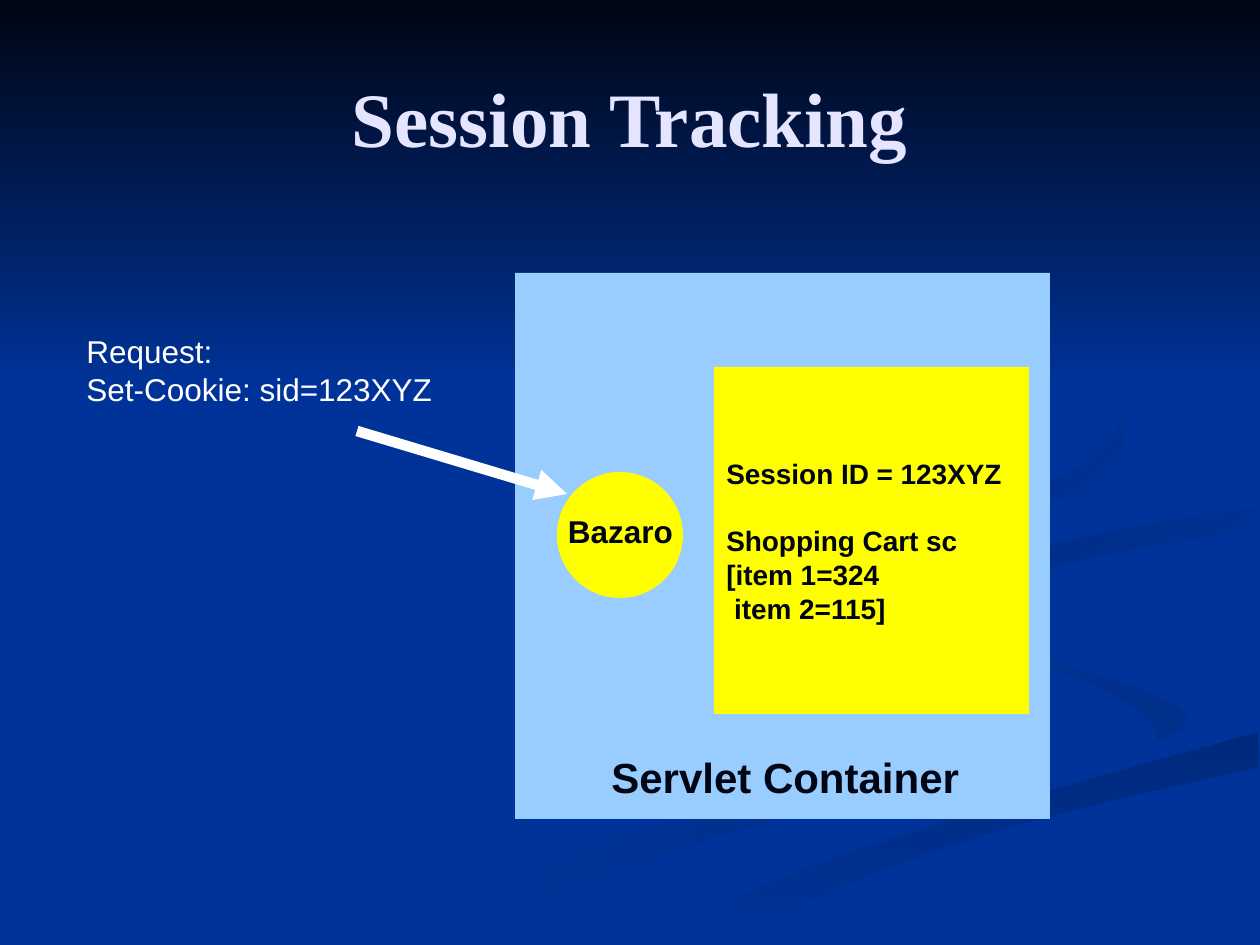
from lxml import etree
from pptx import Presentation
from pptx.dml.color import RGBColor
from pptx.enum.shapes import MSO_CONNECTOR, MSO_SHAPE
from pptx.enum.text import MSO_ANCHOR, PP_ALIGN
from pptx.oxml.ns import qn
from pptx.util import Pt

RECTANGLE, OVAL = MSO_SHAPE.RECTANGLE, MSO_SHAPE.OVAL
STRAIGHT = MSO_CONNECTOR.STRAIGHT
LEFT, CENTER = PP_ALIGN.LEFT, PP_ALIGN.CENTER
TOP, MIDDLE = MSO_ANCHOR.TOP, MSO_ANCHOR.MIDDLE

PX_PER_INCH = 126
WIDTH, HEIGHT = 1260, 945
CURVE_STEPS = 6
NAVY, INK, YELLOW, WHITE = "003399", "000514", "FFFF00", "FFFFFF"
SKY, LAVENDER = "99CCFF", "E5E5FF"
DOWNWARD, LEFTWARD, UP_LEFT = 270, 180, 135


def px(length):
    return round(length * 914400 / PX_PER_INCH)


def color(value):
    return RGBColor.from_string(value)


def spline(before, start, end, after, t):
    return (2 * start + (end - before) * t
            + (2 * before - 5 * start + 4 * end - after) * t ** 2
            + (3 * start - before - 3 * end + after) * t ** 3) / 2


def smooth(knots):
    padded = [knots[0], *knots, knots[-1]]
    curve = [knots[0]]
    for span in zip(padded, padded[1:], padded[2:], padded[3:]):
        for step in range(1, CURVE_STEPS + 1):
            curve.append(tuple(spline(*axis, step / CURVE_STEPS)
                               for axis in zip(*span)))
    return curve


def paint(shape, colors, angle=0):
    shape.shadow.inherit = False
    shape.line.fill.background()
    if len(colors) == 1:
        shape.fill.solid()
        shape.fill.fore_color.rgb = color(colors[0])
        return
    shape.fill.gradient()
    shape.fill.gradient_angle = angle
    for stop, value in zip(shape.fill.gradient_stops, colors):
        stop.color.rgb = color(value)


def add_swoosh(slide, edges, colors, angle=0):
    outline = [(px(x), px(y)) for edge in edges for x, y in smooth(edge)]
    builder = slide.shapes.build_freeform(*outline[0], scale=1.0)
    builder.add_line_segments(outline[1:], close=True)
    paint(builder.convert_to_shape(), colors, angle)


def add_background_swooshes(slide):
    tail_outer = [(725, 578), (748, 611), (859, 654), (984, 697), (1007, 737),
                  (908, 785), (711, 838), (543, 900), (455, 944)]
    tail_inner = [(725, 578), (738, 614), (824, 646), (948, 684), (989, 714),
                  (900, 762), (730, 805), (525, 869), (378, 944)]
    curl_outer = [(912, 585), (975, 634), (1119, 674), (1188, 718), (1126, 762)]
    curl_inner = [(912, 585), (951, 636), (1094, 685), (1157, 732), (1126, 762)]
    lower_top = [(634, 944), (794, 873), (1004, 804), (1258, 732)]
    lower_bottom = [(719, 944), (876, 872), (1034, 820), (1258, 767)]
    upper_hook = [(1041, 625), (997, 602), (984, 580)]
    upper_top = [(984, 580), (1008, 557), (1133, 527), (1258, 507)]
    upper_bottom = [(1041, 625), (1014, 598), (1062, 564), (1258, 529)]
    ribbon_left = [(1258, 488), (1018, 525), (914, 585), (1023, 649),
                   (1188, 718), (1024, 788), (835, 842), (601, 944)]
    ribbon_bay = [(984, 580), (1068, 634), (1258, 678)]
    loop_outer = [(960, 294), (1089, 367), (1126, 433), (1077, 493),
                  (861, 542), (747, 592), (784, 630)]
    loop_inner = [(960, 294), (1096, 377), (1120, 422), (1046, 481),
                  (788, 537), (727, 582), (784, 630)]

    add_swoosh(slide, [tail_outer, tail_inner[::-1]], ("002E8A", NAVY), LEFTWARD)
    add_swoosh(slide, [curl_outer, curl_inner[::-1]], ("002E8A", NAVY), UP_LEFT)
    add_swoosh(slide, [lower_top, lower_bottom[::-1]], ("00297C", NAVY), DOWNWARD)
    add_swoosh(slide, [ribbon_left, lower_top, ribbon_bay[::-1], upper_top], (NAVY,))
    add_swoosh(slide, [upper_hook, upper_top, upper_bottom[::-1]],
               (NAVY, "002C85"), UP_LEFT)
    add_swoosh(slide, [loop_outer, loop_inner[::-1]], (NAVY, "002B81"), UP_LEFT)


def add_block(slide, kind, box, colors, angle=0):
    block = slide.shapes.add_shape(kind, *map(px, box))
    paint(block, colors, angle)
    return block


def write(shape, lines, size, ink, bold=True, font="Arial",
          align=LEFT, anchor=TOP, wrap=False):
    frame = shape.text_frame
    frame.word_wrap = wrap
    frame.vertical_anchor = anchor
    for index, line in enumerate(lines):
        paragraph = frame.add_paragraph() if index else frame.paragraphs[0]
        paragraph.alignment = align
        run = paragraph.add_run()
        run.text = line
        run.font.name = font
        run.font.size = Pt(size)
        run.font.bold = bold
        run.font.color.rgb = color(ink)


def add_label(slide, box, lines, size, ink, **style):
    label = slide.shapes.add_textbox(*map(px, box))
    write(label, lines, size, ink, **style)


def add_arrow(slide, start, end, ink, weight):
    arrow = slide.shapes.add_connector(STRAIGHT, *map(px, start + end))
    arrow.line.color.rgb = color(ink)
    arrow.line.width = Pt(weight)
    etree.SubElement(arrow.line._get_or_add_ln(), qn("a:tailEnd"), type="triangle")
    etree.SubElement(arrow._element.spPr, qn("a:effectLst"))


def add_backdrop(slide):
    slide.background.fill.solid()
    slide.background.fill.fore_color.rgb = color(NAVY)
    add_background_swooshes(slide)
    add_block(slide, RECTANGLE, (0, 0, WIDTH, 388), (INK, NAVY), DOWNWARD)


def add_servlet_container(slide):
    add_block(slide, RECTANGLE, (515, 273, 535, 546), (SKY,))
    add_block(slide, OVAL, (557, 472, 126, 126), (YELLOW,))
    add_label(slide, (547, 506, 147, 50), ["Bazaro"], 18, INK, align=CENTER)
    add_label(slide, (599, 745, 380, 63), ["Servlet Container"], 24, INK)

    session = add_block(slide, RECTANGLE, (714, 367, 315, 347), (YELLOW,))
    write(session, ["Session ID = 123XYZ", "Shopping Cart sc",
                    "[item 1=324", " item 2=115]"],
          16, INK, anchor=MIDDLE, wrap=True)
    session.text_frame.paragraphs[1].space_before = Pt(19.5)


def add_request(slide):
    add_label(slide, (74, 326, 390, 88), ["Request:", "Set-Cookie: sid=123XYZ"],
              18, WHITE, bold=False)
    add_arrow(slide, (357, 431), (567, 494), WHITE, 6)


def main():
    deck = Presentation()
    deck.slide_width, deck.slide_height = px(WIDTH), px(HEIGHT)
    slide = deck.slides.add_slide(deck.slide_layouts[6])
    add_backdrop(slide)
    add_label(slide, (63, 38, 1134, 158), ["Session Tracking"], 44, LAVENDER,
              font="Times New Roman", align=CENTER, anchor=MIDDLE, wrap=True)
    add_servlet_container(slide)
    add_request(slide)
    deck.save("out.pptx")


if __name__ == "__main__":
    main()
